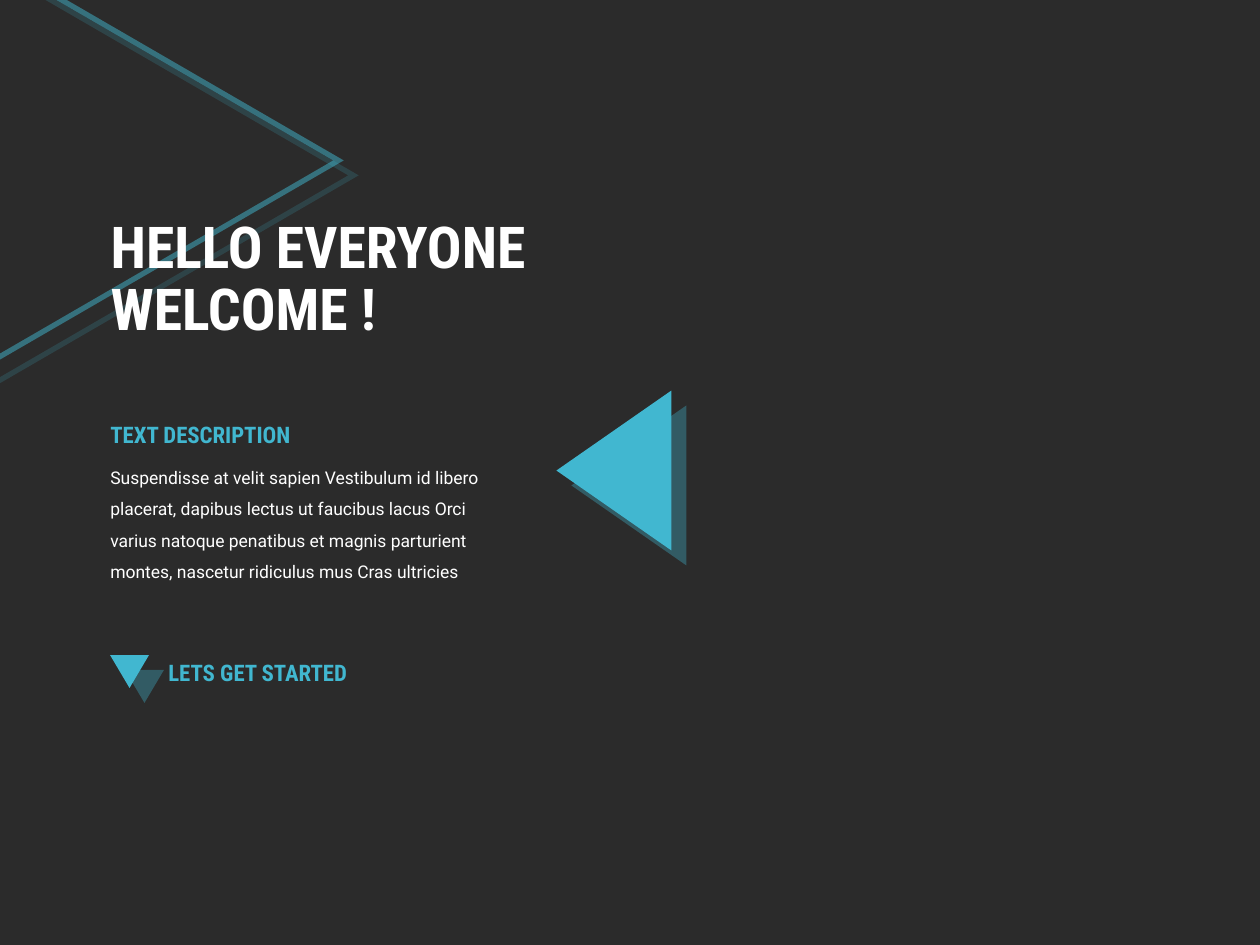
from lxml import etree
from pptx import Presentation
from pptx.dml.color import RGBColor
from pptx.enum.shapes import MSO_SHAPE
from pptx.enum.text import MSO_ANCHOR, MSO_AUTO_SIZE, PP_ALIGN
from pptx.oxml import parse_xml
from pptx.oxml.ns import nsdecls, qn
from pptx.util import Emu, Pt

TRIANGLE = MSO_SHAPE.ISOSCELES_TRIANGLE
TOP, MIDDLE = MSO_ANCHOR.TOP, MSO_ANCHOR.MIDDLE
DARK = RGBColor(0x2B, 0x2B, 0x2B)
TEAL = RGBColor(0x41, 0xB7, 0xD0)
WHITE = RGBColor(0xFF, 0xFF, 0xFF)
PX = 914400 / 126


def set_text(sp, text, size, font="Roboto Condensed", color=TEAL, bold=True,
             spacing=1.0, anchor=TOP):
    tf = sp.text_frame
    tf.word_wrap = True
    tf.auto_size = MSO_AUTO_SIZE.NONE
    tf.vertical_anchor = anchor
    p = tf.paragraphs[0]
    p.text = text
    p.alignment = PP_ALIGN.LEFT
    p.line_spacing = spacing
    for r in p.runs:
        r.font.name, r.font.size = font, Pt(size)
        r.font.bold, r.font.color.rgb = bold, color


def box(*lengths):
    """Turn px lengths into EMU."""
    return [Emu(round(n * PX)) for n in lengths]


prs = Presentation()
prs.slide_width, prs.slide_height = box(1260, 945)
s = prs.slides.add_slide(prs.slide_layouts[5])
s.background.fill.solid()
s.background.fill.fore_color.rgb = DARK

# Triangles, each with a hard teal shadow to the lower right
triangles = []
for frame, rotation in [((-49, -19, 416, 359), 90),
                        ((534, 413, 160, 115), 270),
                        ((110, 655, 39, 33), 180)]:
    sp = s.shapes.add_shape(TRIANGLE, *box(*frame))
    sp.rotation = rotation
    sp.fill.solid()
    sp.fill.fore_color.rgb = TEAL
    sp.line.fill.background()
    sp.shadow.inherit = False
    effects = sp.element.spPr.find(qn("a:effectLst"))
    effects.append(parse_xml(
        f'<a:outerShdw {nsdecls("a")} dist="{Pt(12.1)}" dir="2700000" algn="tl" '
        f'rotWithShape="0"><a:srgbClr val="{TEAL}"><a:alpha val="35000"/>'
        '</a:srgbClr></a:outerShdw>'))
    triangles.append(sp)

# The large corner triangle is a half-transparent outline behind the title
outline = triangles[0]
outline.fill.background()
outline.line.color.rgb = TEAL
outline.line.width = Pt(3)
ln = outline.element.spPr.find(qn("a:ln"))
etree.SubElement(ln.find(".//" + qn("a:srgbClr")), qn("a:alpha"), val="50000")
etree.SubElement(ln, qn("a:miter"), lim="800000")

title = s.shapes.title
title.left, title.top, title.width, title.height = box(98, 181, 532, 199)
title.element.addprevious(outline.element)
set_text(title, "HELLO EVERYONE\vWELCOME !", 33, color=WHITE, spacing=0.9, anchor=MIDDLE)

body = s.shapes.add_textbox(*box(98, 450, 426, 139))
set_text(body, "Suspendisse at velit sapien Vestibulum id libero placerat, dapibus "
         "lectus ut faucibus lacus Orci varius natoque penatibus et magnis parturient "
         "montes, nascetur ridiculus mus Cras ultricies",
         10, font="Roboto", color=WHITE, bold=False, spacing=1.5)

for text, frame in [("TEXT DESCRIPTION", (98, 415, 232, 68)),
                    ("LETS GET STARTED", (156, 653, 232, 40))]:
    set_text(s.shapes.add_textbox(*box(*frame)), text, 13)

prs.save("out.pptx")
